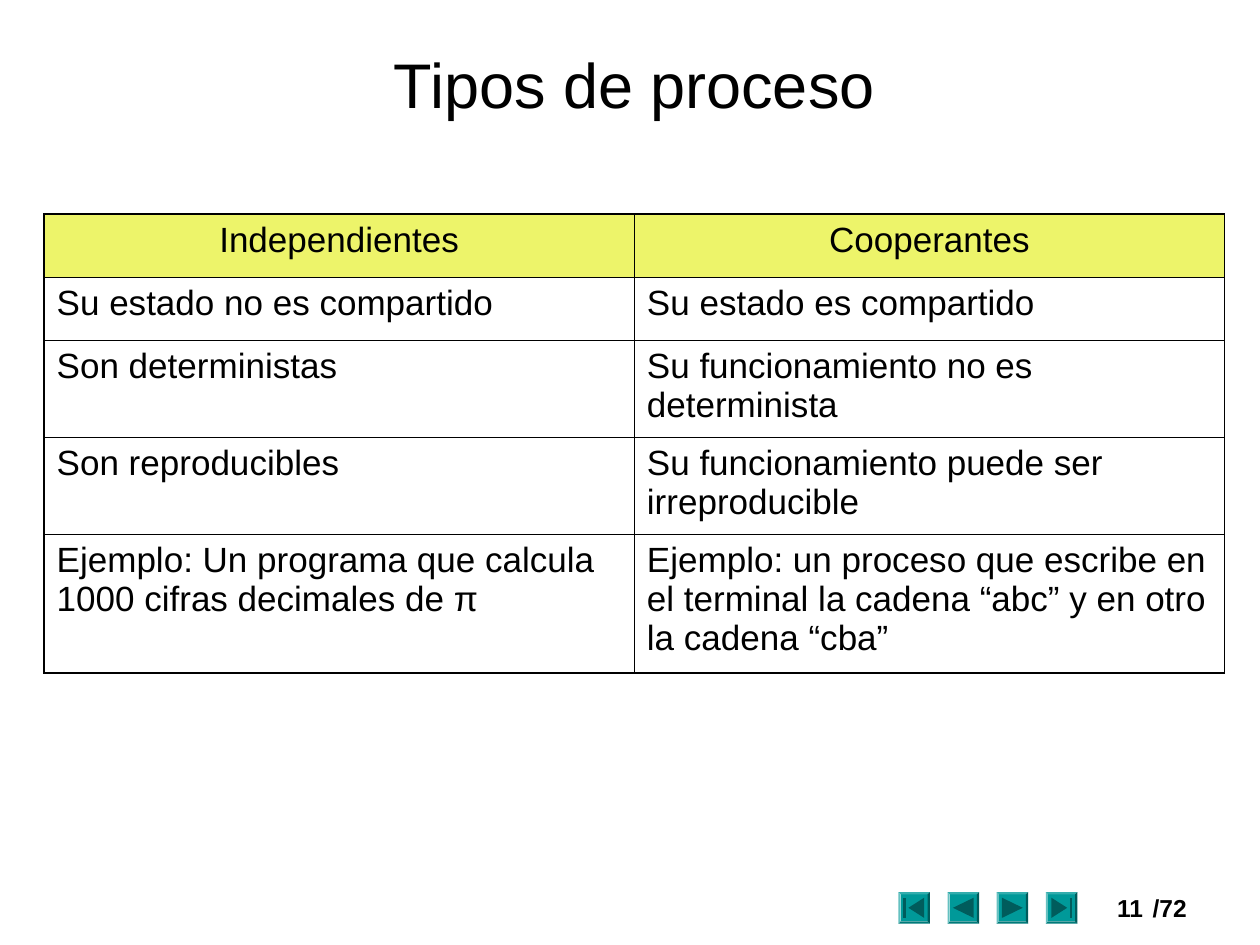
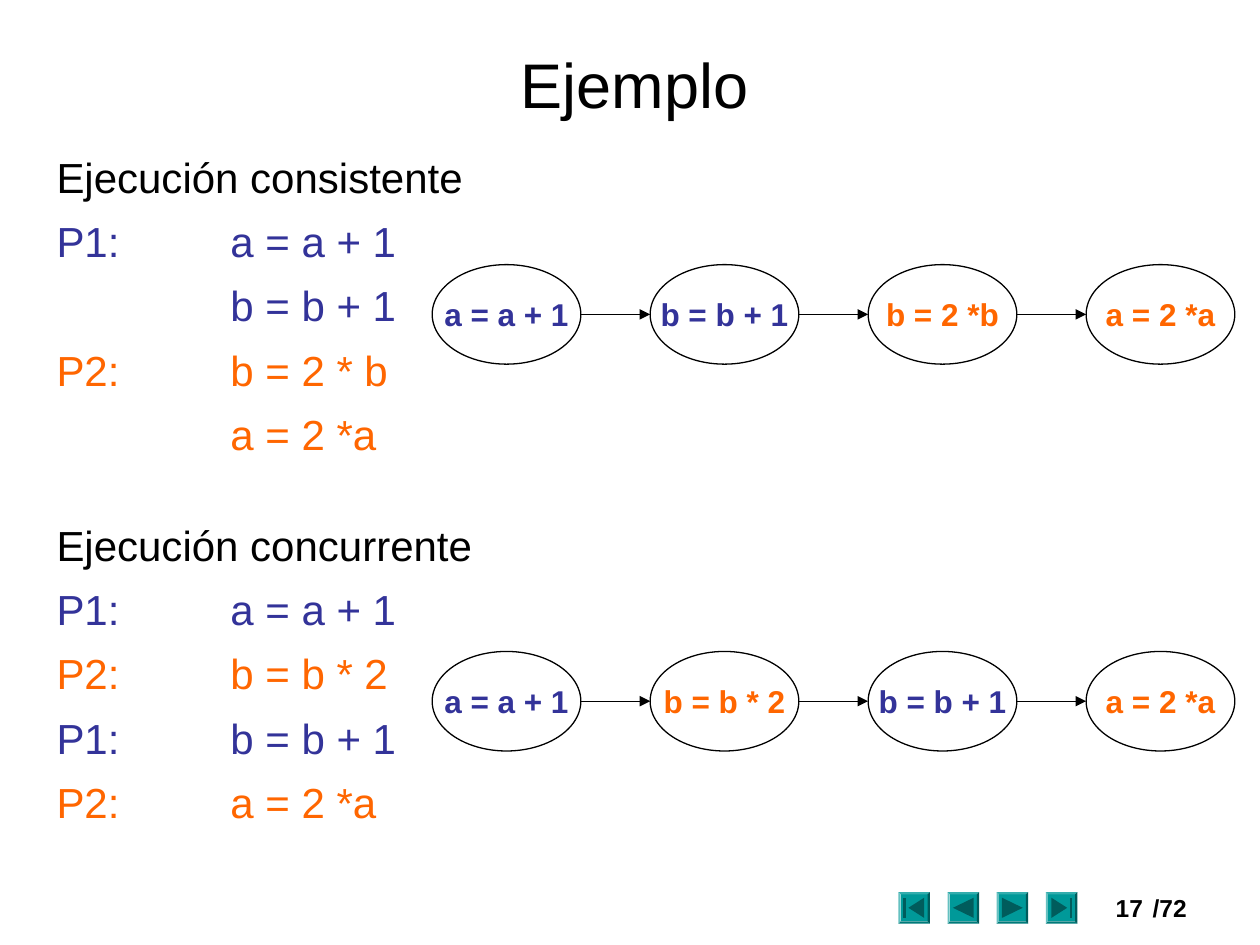
from lxml import etree
from pptx import Presentation
from pptx.dml.color import RGBColor
from pptx.enum.shapes import MSO_CONNECTOR, MSO_SHAPE
from pptx.enum.text import MSO_ANCHOR, MSO_AUTO_SIZE, PP_ALIGN
from pptx.oxml.ns import qn
from pptx.util import Inches, Pt

OVAL, BEVEL = MSO_SHAPE.OVAL, MSO_SHAPE.BEVEL
STRAIGHT = MSO_CONNECTOR.STRAIGHT
MIDDLE = MSO_ANCHOR.MIDDLE
NO_AUTOFIT = MSO_AUTO_SIZE.NONE
LEFT, CENTER, RIGHT = PP_ALIGN.LEFT, PP_ALIGN.CENTER, PP_ALIGN.RIGHT

# Shared look
FONT = "Arial"
BLACK, HEADER_YELLOW = "000000", "EDF46A"
BUTTON_TEAL, ICON_TEAL = "009999", "005C5C"
PROCESS_COLORS = {"P1": "333399", "P2": "FF6600"}

# Shared grid, in inches
SLIDE_W, SLIDE_H = 10, 7.5
MARGIN, CONTENT_W = 0.35, 9.37
FOOTER_TOP, FOOTER_H = 7.04, 0.33
BUTTON_LEFT, BUTTON_TOP, BUTTON_SIZE, BUTTON_STEP = 7.13, 7.08, 0.25, 0.39
OVAL_LEFT, OVAL_W, OVAL_H, OVAL_STEP = 3.43, 1.18, 0.79, 1.73
STATEMENT_INDENT = 1.38

# Navigation icons, as shares of a button
FIRST_ICON = [[(0.32, 0.5), (0.82, 0.18), (0.82, 0.82)],
              [(0.16, 0.18), (0.24, 0.18), (0.24, 0.82), (0.16, 0.82)]]
PREVIOUS_ICON = [[(0.17, 0.5), (0.83, 0.18), (0.83, 0.82)]]

# Content
PROCESS_TYPES = [
    ("Independientes", "Cooperantes"),
    ("Su estado no es compartido", "Su estado es compartido"),
    ("Son deterministas", "Su funcionamiento no es determinista"),
    ("Son reproducibles", "Su funcionamiento puede ser irreproducible"),
    ("Ejemplo: Un programa que calcula 1000 cifras decimales de π",
     "Ejemplo: un proceso que escribe en el terminal la cadena “abc” "
     "y en otro la cadena “cba”"),
]
ROW_HEIGHTS = [0.5, 0.5, 0.77, 0.77, 1.1]

# Each step: process, statement in the listing, statement in the flow
CONSISTENT_STEPS = [
    ("P1", "a = a + 1", "a = a + 1"),
    ("P1", "b = b + 1", "b = b + 1"),
    ("P2", "b = 2 * b", "b = 2 *b"),
    ("P2", "a = 2 *a", "a = 2 *a"),
]
CONCURRENT_STEPS = [
    ("P1", "a = a + 1", "a = a + 1"),
    ("P2", "b = b * 2", "b = b * 2"),
    ("P1", "b = b + 1", "b = b + 1"),
    ("P2", "a = 2 *a", "a = 2 *a"),
]


def rgb(color):
    return RGBColor.from_string(color)


def box(left, top, width, height):
    return [Inches(length) for length in (left, top, width, height)]


def style(paragraph, size, color=BLACK, bold=False, align=LEFT):
    paragraph.alignment = align
    font = paragraph.font
    font.name, font.size, font.bold = FONT, Pt(size), bold
    font.color.rgb = rgb(color)


def paint(shape, color):
    shape.shadow.inherit = False
    shape.fill.solid()
    shape.fill.fore_color.rgb = rgb(color)
    shape.line.fill.background()


# Title and footer
def add_titled_slide(prs, title, number):
    slide = prs.slides.add_slide(prs.slide_layouts[5])
    heading = slide.shapes.title
    heading.left, heading.top, heading.width, heading.height = box(
        MARGIN, 0.34, CONTENT_W, 0.64)
    frame = heading.text_frame
    frame.text = title
    frame.auto_size = NO_AUTOFIT
    frame.vertical_anchor = MIDDLE
    frame.margin_left = frame.margin_right = Inches(0.02)
    frame.margin_top = frame.margin_bottom = Inches(0.02)
    style(frame.paragraphs[0], 36, align=CENTER)
    add_footer(slide, number)
    return slide


def add_footer(slide, number):
    for text, left, width, align in ((number, 8.63, 0.54, RIGHT),
                                     ("/72", 9.05, 0.52, LEFT)):
        label = slide.shapes.add_textbox(*box(left, FOOTER_TOP, width, FOOTER_H))
        label.text_frame.word_wrap = True
        label.text_frame.text = text
        style(label.text_frame.paragraphs[0], 14, bold=True, align=align)
    icons = [FIRST_ICON, PREVIOUS_ICON, mirrored(PREVIOUS_ICON), mirrored(FIRST_ICON)]
    for column, icon in enumerate(icons):
        add_button(slide, BUTTON_LEFT + column * BUTTON_STEP, icon)


def mirrored(icon):
    return [[(1 - x, y) for x, y in outline] for outline in icon]


def add_button(slide, left, icon):
    button = slide.shapes.add_shape(
        BEVEL, *box(left, BUTTON_TOP, BUTTON_SIZE, BUTTON_SIZE))
    button.adjustments[0] = 0.07
    paint(button, BUTTON_TEAL)
    for outline in icon:
        corners = [(Inches(left + x * BUTTON_SIZE), Inches(BUTTON_TOP + y * BUTTON_SIZE))
                   for x, y in outline]
        builder = slide.shapes.build_freeform(*corners[0])
        builder.add_line_segments(corners[1:])
        paint(builder.convert_to_shape(), ICON_TEAL)


# Table
def set_border(cell, side, width):
    line = etree.SubElement(cell._tc.get_or_add_tcPr(), qn(f"a:ln{side}"),
                            w=str(Pt(width)))
    fill = etree.SubElement(line, qn("a:solidFill"))
    etree.SubElement(fill, qn("a:srgbClr"), val=BLACK)


def add_comparison(slide, rows, heights):
    last_row, last_column = len(rows) - 1, len(rows[0]) - 1
    table = slide.shapes.add_table(
        len(rows), len(rows[0]), *box(MARGIN, 1.7, CONTENT_W, sum(heights))).table
    table.first_row = table.horz_banding = False
    for r, texts in enumerate(rows):
        table.rows[r].height = Inches(heights[r])
        for c, text in enumerate(texts):
            cell = table.cell(r, c)
            outer = {"L": c == 0, "R": c == last_column,
                     "T": r == 0, "B": r == last_row}
            for side, is_outer in outer.items():
                set_border(cell, side, 1.08 if is_outer else 0.45)
            if r == 0:
                cell.fill.solid()
                cell.fill.fore_color.rgb = rgb(HEADER_YELLOW)
            else:
                cell.fill.background()
            cell.text = text
            paragraph = cell.text_frame.paragraphs[0]
            style(paragraph, 20, align=LEFT if r else CENTER)
            paragraph.space_before = Pt(5)


# Statement listing
def add_listing(slide, top, heading, steps):
    listing = slide.shapes.add_textbox(*box(MARGIN, top, 3.62, 2.68))
    frame = listing.text_frame
    frame.word_wrap = True
    frame.text = heading
    style(frame.paragraphs[0], 24)
    previous = None
    for process, statement, _ in steps:
        named = process != previous
        paragraph = frame.add_paragraph()
        paragraph.text = f"{process}:\t{statement}" if named else statement
        style(paragraph, 24, PROCESS_COLORS[process])
        paragraph.space_before = Pt(8)
        properties = paragraph._p.get_or_add_pPr()
        properties.set("marL", str(Inches(STATEMENT_INDENT)))
        properties.set("indent", str(-Inches(STATEMENT_INDENT) if named else 0))
        previous = process


# Execution flow
def add_flow(slide, top, steps):
    for column, (process, _, statement) in enumerate(steps):
        left = OVAL_LEFT + column * OVAL_STEP
        oval = slide.shapes.add_shape(OVAL, *box(left, top, OVAL_W, OVAL_H))
        oval.shadow.inherit = False
        oval.fill.background()
        oval.line.color.rgb = rgb(BLACK)
        oval.line.width = Pt(0.75)
        frame = oval.text_frame
        frame.word_wrap = False
        frame.vertical_anchor = MIDDLE
        frame.text = statement
        style(frame.paragraphs[0], 18, PROCESS_COLORS[process], True, CENTER)
        if column:
            add_arrow(slide, left - OVAL_STEP + OVAL_W, left, top + OVAL_H / 2)


def add_arrow(slide, start, end, y):
    arrow = slide.shapes.add_connector(STRAIGHT, *box(start, y, end, y))
    arrow.line.color.rgb = rgb(BLACK)
    arrow.line.width = Pt(0.75)
    etree.SubElement(arrow.line._get_or_add_ln(), qn("a:tailEnd"), type="triangle")
    etree.SubElement(arrow._element.spPr, qn("a:effectLst"))


def main():
    prs = Presentation()
    prs.slide_width, prs.slide_height = Inches(SLIDE_W), Inches(SLIDE_H)

    types_slide = add_titled_slide(prs, "Tipos de proceso", "11")
    add_comparison(types_slide, PROCESS_TYPES, ROW_HEIGHTS)

    example_slide = add_titled_slide(prs, "Ejemplo", "17")
    add_listing(example_slide, 1.15, "Ejecución consistente", CONSISTENT_STEPS)
    add_listing(example_slide, 4.07, "Ejecución concurrente", CONCURRENT_STEPS)
    add_flow(example_slide, 2.1, CONSISTENT_STEPS)
    add_flow(example_slide, 5.17, CONCURRENT_STEPS)

    prs.save("out.pptx")


if __name__ == "__main__":
    main()
